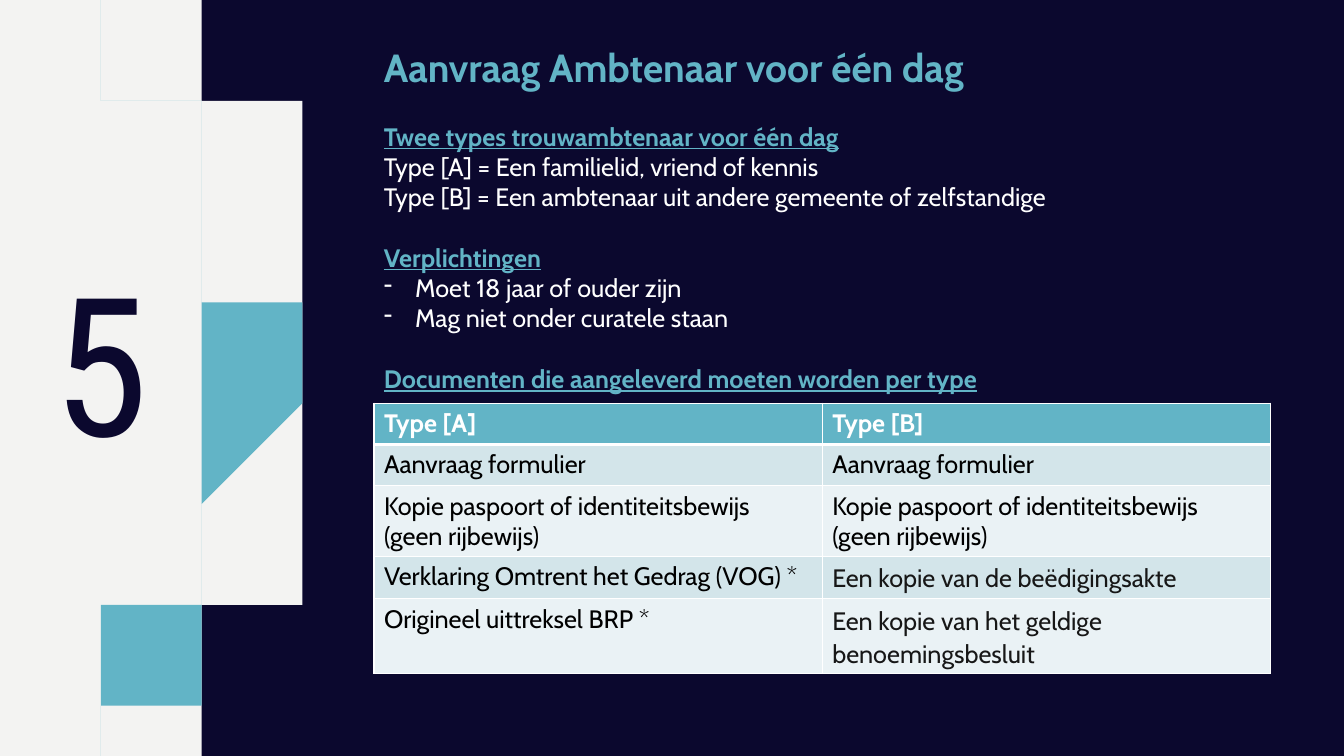
from lxml import etree
from pptx import Presentation
from pptx.dml.color import RGBColor
from pptx.enum import text
from pptx.oxml import ns
from pptx.util import Inches, Pt

NAVY = RGBColor(0x0B, 0x08, 0x2E)
TEAL = RGBColor(0x62, 0xB4, 0xC6)
PAPER = RGBColor(0xF3, 0xF3, 0xF2)
WHITE = RGBColor(0xFF, 0xFF, 0xFF)
BLACK = RGBColor(0, 0, 0)
CHARCOAL = RGBColor(0x17, 0x17, 0x17)
DARK_BAND = RGBColor(0xD3, 0xE5, 0xEA)
LIGHT_BAND = RGBColor(0xEA, 0xF2, 0xF5)
HEIGHT = 7.5


def add_wave(points, color):
    builder = slide.shapes.build_freeform(*points[0], scale=Inches(1))
    builder.add_line_segments(points[1:], close=True)
    wave = builder.convert_to_shape()
    wave.shadow.inherit = False
    wave.fill.solid()
    wave.fill.fore_color.rgb = color
    wave.line.fill.background()


def add_run(paragraph, wording, size, color, bold=False, font="Cabin"):
    run = paragraph.add_run()
    run.text = wording
    run.font.name = font
    run.font.size = Pt(size)
    run.font.bold = bold
    run.font.color.rgb = color
    return run


prs = Presentation()
prs.slide_width, prs.slide_height = Inches(13.33), Inches(HEIGHT)
slide = prs.slides.add_slide(prs.slide_layouts[6])
slide.background.fill.solid()
slide.background.fill.fore_color.rgb = NAVY

paper_edge = [
    (1.55, 0), (1.57, 0.1), (1.6, 0.19), (1.63, 0.29), (1.66, 0.38), (1.7, 0.46),
    (1.75, 0.54), (1.8, 0.61), (1.86, 0.67), (1.92, 0.73), (1.99, 0.79), (2.06, 0.85),
    (2.2, 0.96), (2.28, 1.01), (2.35, 1.07), (2.41, 1.13), (2.47, 1.19), (2.53, 1.26),
    (2.58, 1.33), (2.61, 1.4), (2.64, 1.49), (2.66, 1.57), (2.66, 1.85), (2.64, 1.95),
    (2.6, 2.34), (2.59, 2.44), (2.6, 2.53), (2.61, 2.62), (2.63, 2.71), (2.66, 2.8),
    (2.7, 2.88), (2.75, 2.97), (2.9, 3.22), (2.94, 3.31), (2.99, 3.39), (3.02, 3.48),
    (3.05, 3.57), (3.07, 3.66), (3.08, 3.75)]
band_right = [
    (1.25, 0), (1.34, 0.29), (1.39, 0.48), (1.42, 0.57), (1.46, 0.66), (1.51, 0.74),
    (1.56, 0.81), (1.62, 0.87), (1.69, 0.93), (1.75, 0.99), (1.83, 1.05), (1.98, 1.16),
    (2.05, 1.22), (2.11, 1.27), (2.18, 1.34), (2.23, 1.4), (2.28, 1.47), (2.32, 1.55),
    (2.35, 1.63), (2.36, 1.71), (2.37, 1.8), (2.37, 1.88), (2.35, 2.06), (2.31, 2.34),
    (2.3, 2.52), (2.31, 2.61), (2.32, 2.69), (2.34, 2.78), (2.37, 2.87), (2.42, 2.95),
    (2.66, 3.39), (2.7, 3.48), (2.73, 3.57), (2.75, 3.66), (2.76, 3.75)]
band_left = [
    (0.96, 0), (0.99, 0.07), (1.01, 0.15), (1.04, 0.24), (1.09, 0.43), (1.11, 0.52),
    (1.15, 0.62), (1.18, 0.71), (1.23, 0.81), (1.28, 0.9), (1.34, 0.98), (1.41, 1.05),
    (1.48, 1.12), (1.56, 1.19), (1.79, 1.37), (1.93, 1.48), (1.99, 1.54), (2.03, 1.6),
    (2.06, 1.65), (2.08, 1.71), (2.09, 1.77), (2.09, 1.9), (2.06, 2.13), (2.04, 2.26),
    (2.03, 2.38), (2.03, 2.62), (2.05, 2.75), (2.07, 2.85), (2.1, 2.94), (2.15, 3.03),
    (2.29, 3.29), (2.33, 3.37), (2.4, 3.5), (2.43, 3.57), (2.46, 3.63), (2.47, 3.69),
    (2.48, 3.75)]
paper_edge, band_right, band_left = [
    half + [(x, HEIGHT - y) for x, y in half[-2::-1]]
    for half in (paper_edge, band_right, band_left)]
add_wave([(0, 0)] + paper_edge + [(0, HEIGHT)], PAPER)
add_wave(band_right + band_left[::-1], TEAL)

number = slide.shapes.add_textbox(Inches(0.43), Inches(2.59), Inches(1.16), Inches(2.2)).text_frame
number.word_wrap = True
number.vertical_anchor = text.MSO_ANCHOR.BOTTOM
number.paragraphs[0].line_spacing = 0.9
add_run(number.paragraphs[0], "5", 138, NAVY, font="Roboto Condensed")

explanation = slide.shapes.add_textbox(Inches(3.71), Inches(0.38), Inches(9), Inches(3.6)).text_frame
explanation.word_wrap = True
add_run(explanation.paragraphs[0], "Aanvraag Ambtenaar voor één dag", 28, TEAL, True)
sections = [
    ("Twee types trouwambtenaar voor één dag", False,
     ["Type [A] = Een familielid, vriend of kennis",
      "Type [B] = Een ambtenaar uit andere gemeente of zelfstandige"]),
    ("Verplichtingen", True, ["Moet 18 jaar of ouder zijn", "Mag niet onder curatele staan"]),
    ("Documenten die aangeleverd moeten worden per type", False, [])]
for heading, bulleted, lines in sections:
    paragraph = explanation.add_paragraph()
    paragraph.space_before = Pt(21.8)
    add_run(paragraph, heading, 18, TEAL, True).font.underline = True
    for line in lines:
        paragraph = explanation.add_paragraph()
        add_run(paragraph, line, 18, WHITE)
        if bulleted:
            properties = paragraph._p.get_or_add_pPr()
            properties.set("marL", str(Inches(0.31)))
            properties.set("indent", str(-Inches(0.31)))
            etree.SubElement(properties, ns.qn("a:buChar")).set("char", "-")

documents = [
    ("Type [A]", "Type [B]"),
    ("Aanvraag formulier",) * 2,
    ("Kopie paspoort of identiteitsbewijs\n(geen rijbewijs)",) * 2,
    ("Verklaring Omtrent het Gedrag (VOG) *", "Een kopie van de beëdigingsakte"),
    ("Origineel uittreksel BRP *", "Een kopie van het geldige benoemingsbesluit")]
row_heights = [0.41, 0.41, 0.69, 0.42, 0.74]
table = slide.shapes.add_table(
    5, 2, Inches(3.71), Inches(4), Inches(8.89), Inches(sum(row_heights))).table
for r, (entries, height) in enumerate(zip(documents, row_heights)):
    table.rows[r].height = Inches(height)
    for c, entry in enumerate(entries):
        cell = table.cell(r, c)
        for side in ("L", "R", "T", "B"):
            heavy = (r == 0 and side == "B") or (r == 1 and side == "T")
            border = etree.SubElement(cell._tc.get_or_add_tcPr(), ns.qn("a:ln" + side))
            border.set("w", str(Pt(3 if heavy else 1)))
            fill = etree.SubElement(border, ns.qn("a:solidFill"))
            etree.SubElement(fill, ns.qn("a:srgbClr")).set("val", str(WHITE))
        cell.fill.solid()
        cell.fill.fore_color.rgb = TEAL if r == 0 else DARK_BAND if r % 2 else LIGHT_BAND
        type_b_only = r > 2 and c == 1
        color = WHITE if r == 0 else CHARCOAL if type_b_only else BLACK
        for i, line in enumerate(entry.split("\n")):
            paragraph = cell.text_frame.add_paragraph() if i else cell.text_frame.paragraphs[0]
            add_run(paragraph, line, 18, color, r == 0)
            if type_b_only:
                paragraph.line_spacing = 1.07

prs.save("out.pptx")
